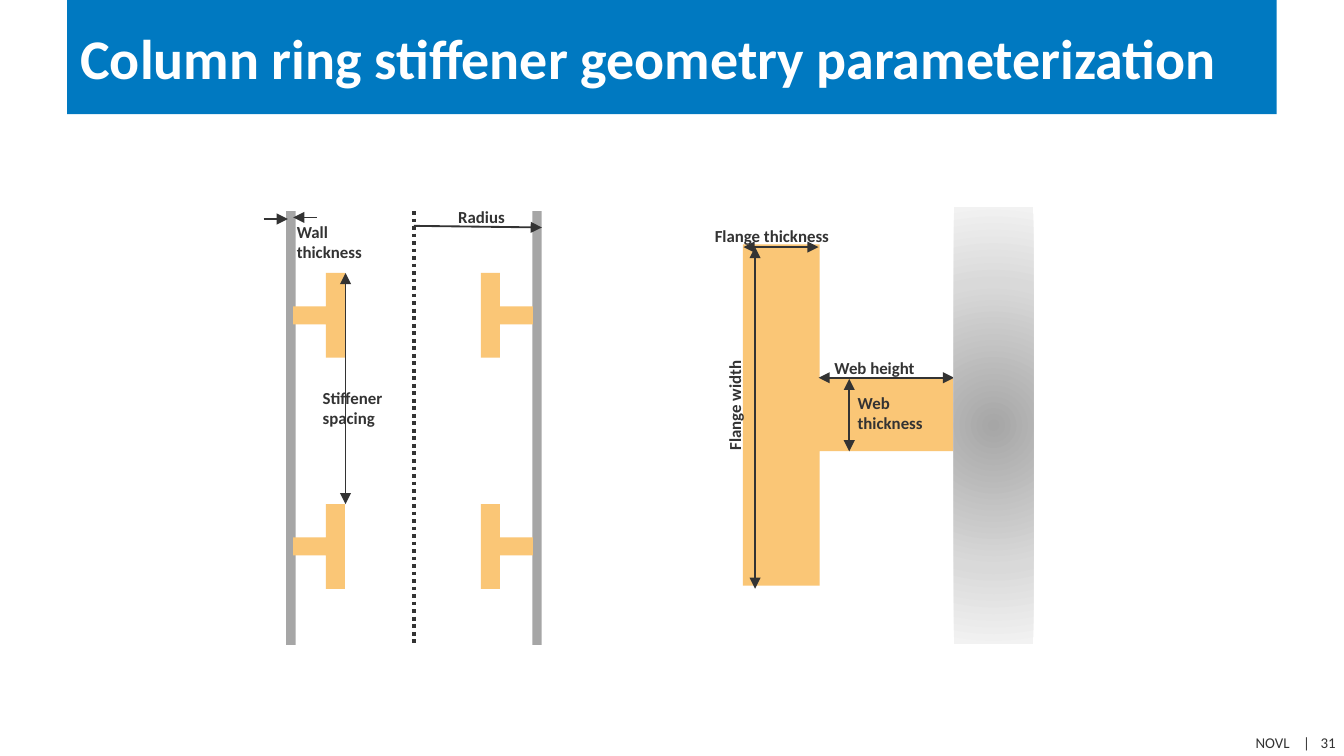
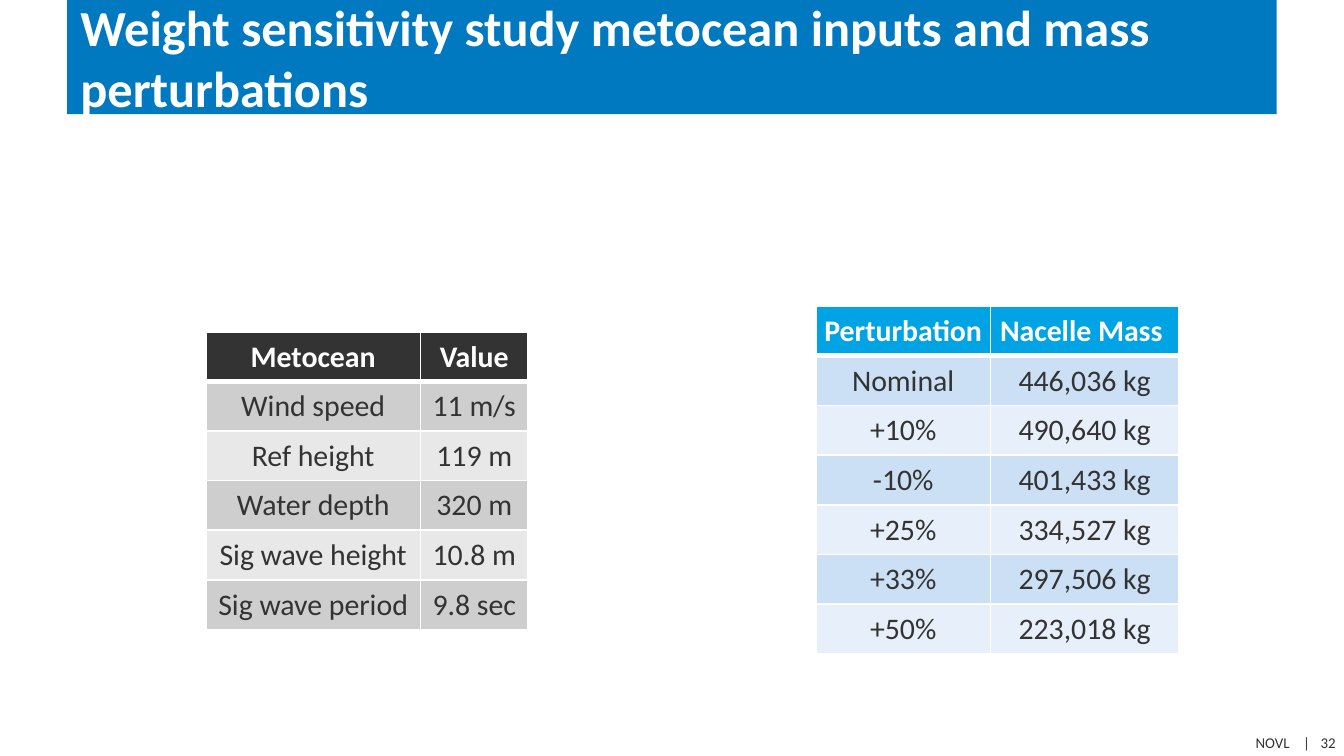
from dataclasses import dataclass

from pptx import Presentation
from pptx.dml.color import RGBColor
from pptx.enum.dml import MSO_LINE
from pptx.enum.shapes import MSO_CONNECTOR as CONN, MSO_SHAPE as SHAPE
from pptx.enum.text import MSO_ANCHOR as ANCHOR, PP_ALIGN as ALIGN
from pptx.oxml import parse_xml
from pptx.oxml.ns import nsdecls, qn
from pptx.util import Cm, Pt


@dataclass(frozen=True)
class Theme:
    font: str = "Calibri"
    ink: str = "333333"
    paper: str = "FFFFFF"
    band: str = "0079C1"
    steel: str = "A6A6A6"
    stiffener: str = "FAC676"
    # Table palettes: header, odd row, even row
    gray_table: tuple = ("333333", "CECECE", "E8E8E8")
    blue_table: tuple = ("00A4E4", "CCE0F5", "E7F0FA")
    # Radial gradient of the column wall, centre to edge
    wall_stops: tuple = ((0, "A6A6A6"), (64, "D9D9D9"), (100, "F2F2F2"))
    title_size: int = 30
    long_title_size: int = 27
    table_size: int = 16
    label_size: int = 9
    footer_size: int = 8


def rgb(color):
    return RGBColor.from_string(color)


class Deck:
    """Holds the style and the current slide."""

    def __init__(self, theme):
        self.theme = theme
        self.prs = Presentation()
        self.prs.slide_width, self.prs.slide_height = Cm(25.4), Cm(14.29)
        self.s = None

    def slide(self, title, number, size):
        self.s = self.prs.slides.add_slide(self.prs.slide_layouts[6])
        self.footer(number)
        sp = self.rect(1.27, 0, 22.86, 2.16, self.theme.band)
        tf = sp.text_frame
        tf.word_wrap = True
        tf.vertical_anchor = ANCHOR.MIDDLE
        tf.text = title
        tf.paragraphs[0].alignment = ALIGN.LEFT
        self.style(tf.paragraphs[0], size, self.theme.paper, True)

    def style(self, p, size, color, bold=False):
        for r in p.runs:
            r.font.name = self.theme.font
            r.font.size = Pt(size)
            r.font.bold = bold
            r.font.color.rgb = rgb(color)

    def text(self, text, x, y, w, h, size, bold=False, rotation=0):
        box = self.s.shapes.add_textbox(Cm(x), Cm(y), Cm(w), Cm(h))
        box.rotation = rotation
        tf = box.text_frame
        tf.word_wrap = True
        tf.margin_left = tf.margin_right = tf.margin_top = tf.margin_bottom = 0
        tf.text = text
        self.style(tf.paragraphs[0], size, self.theme.ink, bold)
        return tf.paragraphs[0]

    def footer(self, number):
        p = self.text(f"NOVL\t|\t{number}", 23.73, 13.87, 1.6, 0.33,
                      self.theme.footer_size)
        stops = "".join(f'<a:tab pos="{Cm(x)}" algn="l"/>' for x in (0.9, 1.23))
        p._p.get_or_add_pPr().append(
            parse_xml(f"<a:tabLst {nsdecls('a')}>{stops}</a:tabLst>"))

    def label(self, text, x, y, w, lines=1, rotation=0):
        self.text(text, x, y, w, 0.38 * lines, self.theme.label_size, True, rotation)

    def paint(self, sp, color):
        sp.shadow.inherit = False
        sp.fill.solid()
        sp.fill.fore_color.rgb = rgb(color)
        sp.line.fill.background()
        return sp

    def rect(self, x, y, w, h, color):
        sp = self.s.shapes.add_shape(SHAPE.RECTANGLE, Cm(x), Cm(y), Cm(w), Cm(h))
        return self.paint(sp, color)

    def radial_rect(self, x, y, w, h, stops):
        spPr = self.rect(x, y, w, h, stops[0][1])._element.spPr
        gs = "".join(f'<a:gs pos="{pos * 1000}"><a:srgbClr val="{color}"/></a:gs>'
                     for pos, color in stops)
        spPr.replace(spPr.find(qn("a:solidFill")), parse_xml(
            f'<a:gradFill {nsdecls("a")} rotWithShape="1"><a:gsLst>{gs}</a:gsLst>'
            '<a:path path="circle"><a:fillToRect l="50000" t="50000" r="50000" '
            'b="50000"/></a:path></a:gradFill>'))

    def tee(self, wall_x, top, web, flange, side):
        """T-stiffener; web is (height, thickness), flange is (thickness, width)."""
        web_h, web_t = web
        flange_t, flange_w = flange
        joint = wall_x + side * web_h
        tip = joint + side * flange_t
        bottom = top + flange_w
        web_top = top + (flange_w - web_t) / 2
        web_bottom = web_top + web_t
        outline = [(joint, top), (tip, top), (tip, bottom), (joint, bottom),
                   (joint, web_bottom), (wall_x, web_bottom),
                   (wall_x, web_top), (joint, web_top)]
        points = [(Cm(x), Cm(y)) for x, y in outline]
        fb = self.s.shapes.build_freeform(*points[0])
        fb.add_line_segments(points[1:], close=True)
        self.paint(fb.convert_to_shape(), self.theme.stiffener)

    def line(self, x1, y1, x2, y2, width=1, ends=(), dash=None):
        cx = self.s.shapes.add_connector(CONN.STRAIGHT, Cm(x1), Cm(y1), Cm(x2), Cm(y2))
        cx.line.color.rgb = rgb(self.theme.ink)
        cx.line.width = Pt(width)
        if dash:
            cx.line.dash_style = dash
        ln = cx.line._get_or_add_ln()
        for end in ends:
            ln.append(parse_xml(f'<a:{end} {nsdecls("a")} type="triangle"/>'))
        cx._element.spPr.append(parse_xml(f"<a:effectLst {nsdecls('a')}/>"))

    def arrow(self, *ends):
        self.line(*ends, ends=("tailEnd",))

    def dimension(self, *ends):
        self.line(*ends, ends=("headEnd", "tailEnd"))

    def border(self, cell, **widths):
        tcPr = cell._tc.get_or_add_tcPr()
        for edge in "LRTB":
            tcPr.append(parse_xml(
                f'<a:ln{edge} {nsdecls("a")} w="{Pt(widths.get(edge, 1))}"><a:solidFill>'
                f'<a:srgbClr val="{self.theme.paper}"/></a:solidFill></a:ln{edge}>'))

    def table(self, x, y, col_widths, rows, palette):
        row_h = 0.93
        tbl = self.s.shapes.add_table(
            len(rows), len(col_widths), Cm(x), Cm(y),
            Cm(sum(col_widths)), Cm(row_h * len(rows))).table
        for col, w in zip(tbl.columns, col_widths):
            col.width = Cm(w)
        header, odd, even = palette
        for i, row in enumerate(rows):
            tbl.rows[i].height = Cm(row_h)
            fill = header if i == 0 else odd if i % 2 else even
            for j, value in enumerate(row):
                cell = tbl.cell(i, j)
                self.border(cell, T=3 if i == 1 else 1, B=3 if i == 0 else 1)
                cell.fill.solid()
                cell.fill.fore_color.rgb = rgb(fill)
                cell.margin_left = cell.margin_right = Cm(0.13)
                cell.margin_top = cell.margin_bottom = Cm(0.13)
                cell.text = value
                p = cell.text_frame.paragraphs[0]
                p.alignment = ALIGN.CENTER
                self.style(p, self.theme.table_size,
                           self.theme.ink if i else self.theme.paper, i == 0)


def stiffener_slide(deck):
    theme = deck.theme
    deck.slide("Column ring stiffener geometry parameterization", 31, theme.title_size)

    # Column section: walls, centre line, stiffeners
    for x in (5.41, 10.06):
        deck.rect(x, 3.99, 0.18, 8.2, theme.steel)
    deck.line(7.82, 3.99, 7.82, 12.17, width=2, dash=MSO_LINE.ROUND_DOT)
    for wall_x, side in ((5.54, 1), (10.07, -1)):
        for top in (5.16, 9.53):
            deck.tee(wall_x, top, (0.62, 0.34), (0.36, 1.6), side)

    # Column dimensions
    deck.label("Radius", 8.66, 3.91, 1.17)
    deck.arrow(7.82, 4.27, 10.24, 4.3)
    deck.dimension(6.53, 5.16, 6.53, 9.53)
    deck.label("Stiffener spacing", 6.1, 7.32, 1.63, lines=2)
    deck.arrow(5.99, 4.11, 5.54, 4.11)
    deck.arrow(4.98, 4.14, 5.44, 4.14)
    deck.label("Wall thickness", 5.61, 4.19, 1.52, lines=2)

    # Stiffener detail with its dimensions
    deck.tee(18.03, 4.62, (2.54, 1.37), (1.45, 6.45), -1)
    deck.dimension(16.05, 7.16, 16.05, 8.53)
    deck.label("Flange thickness", 13.51, 4.27, 2.69)
    deck.dimension(14.05, 4.67, 15.47, 4.67)
    deck.dimension(15.47, 7.14, 18.03, 7.14)
    deck.dimension(14.27, 4.67, 14.27, 11.13)
    deck.label("Web height", 15.77, 6.76, 2.11)
    deck.label("Web thickness", 16.21, 7.42, 1.63, lines=2)
    deck.label("Flange width", 12.75, 7.19, 2.26, rotation=270)
    deck.radial_rect(18.03, 3.91, 1.5, 8.26, theme.wall_stops)


def sensitivity_slide(deck):
    theme = deck.theme
    deck.slide("Weight sensitivity study metocean inputs and mass perturbations",
               32, theme.long_title_size)
    deck.table(15.42, 5.79, (3.3, 3.56), [
        ("Perturbation", "Nacelle Mass "),
        ("Nominal", "446,036 kg"),
        ("+10%", "490,640 kg"),
        ("-10%", "401,433 kg"),
        ("+25%", "334,527 kg"),
        ("+33%", "297,506 kg"),
        ("+50%", "223,018 kg"),
    ], theme.blue_table)
    deck.table(3.89, 6.27, (4.06, 2.03), [
        ("Metocean", "Value"),
        ("Wind speed", "11 m/s"),
        ("Ref height", "119 m"),
        ("Water depth", "320 m"),
        ("Sig wave height", "10.8 m"),
        ("Sig wave period", "9.8 sec"),
    ], theme.gray_table)


def main():
    deck = Deck(Theme())
    stiffener_slide(deck)
    sensitivity_slide(deck)
    deck.prs.save("out.pptx")


if __name__ == "__main__":
    main()
